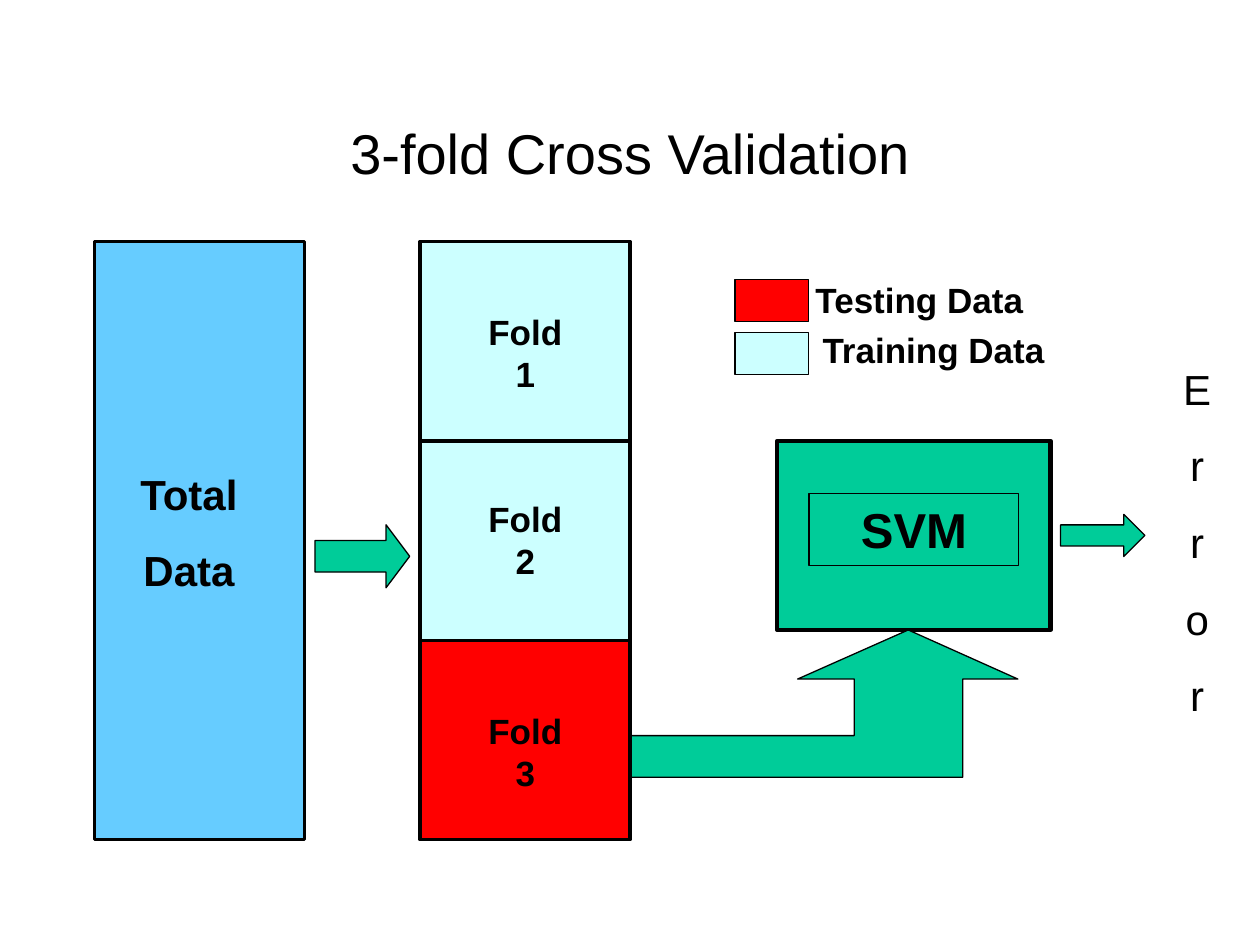
from pptx import Presentation
from pptx.dml.color import RGBColor
from pptx.enum.shapes import MSO_SHAPE
from pptx.enum.text import MSO_ANCHOR, MSO_AUTO_SIZE, PP_ALIGN
from pptx.util import Cm, Pt

BLACK = RGBColor(0x00, 0x00, 0x00)
BLUE = RGBColor(0x66, 0xCC, 0xFF)
GREEN = RGBColor(0x00, 0xCC, 0x99)
RED = RGBColor(0xFF, 0x00, 0x00)
PALE = RGBColor(0xCC, 0xFF, 0xFF)

COLUMN_TOP = 4.87
COLUMN_WIDTH = 4.23
FOLD_HEIGHT = 4.02
FOLD_LEFT = 8.47


def paint(shape, fill, line_width):
    """Give a shape its fill and black outline, without a shadow."""
    shape.shadow.inherit = False
    if fill is None:
        shape.fill.background()
    else:
        shape.fill.solid()
        shape.fill.fore_color.rgb = fill
    shape.line.color.rgb = BLACK
    shape.line.width = Pt(line_width)


def write(frame, text, size, bold=True, align=PP_ALIGN.CENTER, gap=0, wrap=True):
    """Write black Arial text, with a gap between its paragraphs."""
    frame.text = text
    frame.word_wrap = wrap
    frame.auto_size = MSO_AUTO_SIZE.NONE
    for number, para in enumerate(frame.paragraphs):
        para.alignment = align
        para.space_before = Pt(gap if number else 0)
        for span in para.runs:
            span.font.name = "Arial"
            span.font.size = Pt(size)
            span.font.bold = bold
            span.font.color.rgb = BLACK


def add_title(page, text):
    """Place the slide title."""
    title = page.shapes.title
    title.left, title.top, title.width, title.height = Cm(1.91), Cm(1.7), Cm(21.59), Cm(2.74)
    write(title.text_frame, text, 32, bold=False)
    title.text_frame.vertical_anchor = MSO_ANCHOR.MIDDLE


def add_block(page, left, top, width, height, fill, line_width=0.75, kind=MSO_SHAPE.RECTANGLE):
    """Add an outlined preset shape."""
    block = page.shapes.add_shape(kind, Cm(left), Cm(top), Cm(width), Cm(height))
    paint(block, fill, line_width)
    return block


def add_label(page, left, top, width, height, text, size, **style):
    """Add a text box."""
    box = page.shapes.add_textbox(Cm(left), Cm(top), Cm(width), Cm(height))
    write(box.text_frame, text, size, **style)


def add_arrow(page, left, top, width, height, head):
    """Add a green arrow that points right."""
    arrow = add_block(page, left, top, width, height, GREEN, kind=MSO_SHAPE.RIGHT_ARROW)
    arrow.adjustments[1] = head


def add_bent_arrow(page):
    """Add the arrow that leads from the folds up to the classifier."""
    start, *corners = [
        (12.7, 14.83), (17.22, 14.83), (17.22, 13.69), (16.08, 13.69), (18.31, 12.7),
        (20.52, 13.69), (19.41, 13.69), (19.41, 15.67), (12.7, 15.67),
    ]
    builder = page.shapes.build_freeform(Cm(start[0]), Cm(start[1]))
    builder.add_line_segments([(Cm(x), Cm(y)) for x, y in corners], close=True)
    paint(builder.convert_to_shape(), GREEN, 0.75)


def add_classifier(page):
    """Add the green classifier box with its framed name."""
    add_block(page, 15.67, 8.89, 5.51, 3.81, GREEN, 2.5)
    frame = add_block(page, 16.31, 9.95, COLUMN_WIDTH, 1.45, None)
    write(frame.text_frame, "SVM", 28)
    frame.text_frame.vertical_anchor = MSO_ANCHOR.TOP


def add_folds(page):
    """Stack the three folds of the data."""
    folds = [(PALE, 1.27), (PALE, 1.02), (RED, 1.27)]
    for index, (fill, inset) in enumerate(folds):
        top = COLUMN_TOP + index * FOLD_HEIGHT
        add_block(page, FOLD_LEFT, top, COLUMN_WIDTH, FOLD_HEIGHT, fill, 2)
        add_label(page, FOLD_LEFT + 1.06, top + inset, 2.12, 1.96, f"Fold {index + 1}", 20)


def add_legend(page):
    """Add the colour key."""
    entries = [
        (RED, 5.64, "Testing Data", 16.13, 5.49, 4.75),
        (PALE, 6.7, "Training Data", 16.28, 6.5, 5.03),
    ]
    for fill, swatch_top, text, left, top, width in entries:
        add_block(page, 14.82, swatch_top, 1.48, 0.85, fill)
        add_label(page, left, top, width, 1.11, text, 20, align=PP_ALIGN.RIGHT, wrap=False)


def main():
    """Build and save the slide."""
    deck = Presentation()
    deck.slide_width, deck.slide_height = Cm(25.4), Cm(19.05)
    page = deck.slides.add_slide(deck.slide_layouts[5])
    add_title(page, "3-fold Cross Validation")
    add_block(page, 1.91, COLUMN_TOP, COLUMN_WIDTH, 3 * FOLD_HEIGHT, BLUE, 2)
    add_label(page, 2.54, 9.31, 2.54, 2.82, "Total\nData", 24, gap=15)
    add_classifier(page)
    add_bent_arrow(page)
    add_arrow(page, 6.35, 10.58, 1.91, 1.27, 0.375)
    add_folds(page)
    add_arrow(page, 21.38, 10.37, 1.7, 0.85, 0.5)
    add_label(page, 23.5, 7.2, 1.27, 7.47, "\n".join("Error"), 24, bold=False, gap=15)
    add_legend(page)
    deck.save("out.pptx")


if __name__ == "__main__":
    main()
